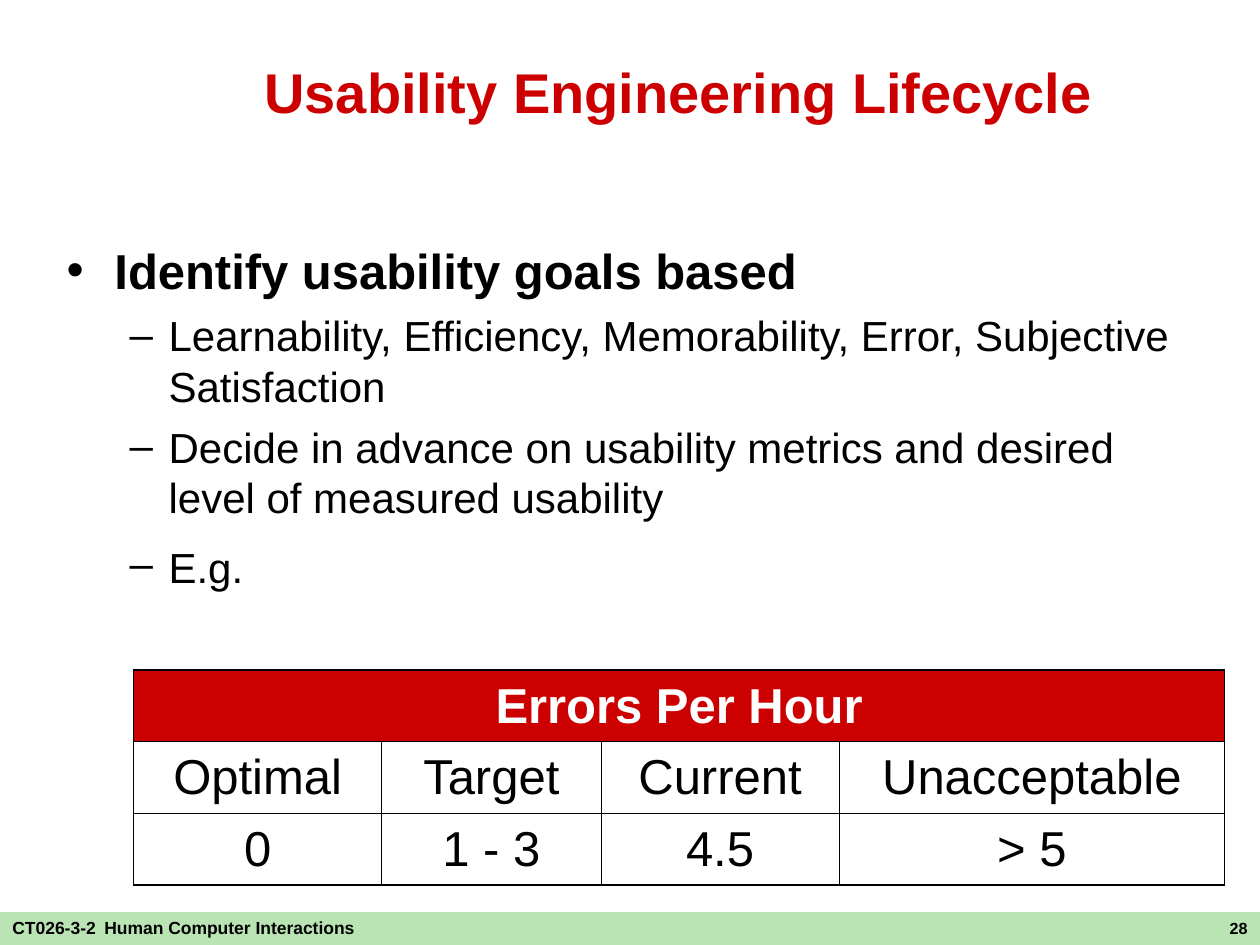
from dataclasses import dataclass
from lxml.etree import SubElement
from pptx import Presentation
from pptx.dml.color import RGBColor
from pptx.enum.shapes import MSO_SHAPE
from pptx.enum.text import MSO_ANCHOR, MSO_AUTO_SIZE, PP_ALIGN
from pptx.oxml.ns import qn
from pptx.util import Inches, Pt


@dataclass(frozen=True)
class Theme:
    font: str = "Arial"
    red: str = "CC0000"
    green: str = "BAE4B4"
    black: str = "000000"
    white: str = "FFFFFF"
    title: float = 32
    heading: float = 28
    detail: float = 24
    footer_gap: float = 18
    footer: float = 10
    number: float = 9.2
    outer_line: float = 1.08
    inner_line: float = 0.45


@dataclass(frozen=True)
class Box:
    """A region in grid columns and rows."""
    left: float
    top: float
    width: float
    height: float

    def place(self):
        return [unit(n) for n in (self.left, self.top, self.width, self.height)]


THEME = Theme()
COLUMNS, ROWS = 100, 75  # grid of the whole slide, tenth-inch cells

GOALS = [
    "Learnability, Efficiency, Memorability, Error, Subjective Satisfaction",
    "Decide in advance on usability metrics and desired level of measured usability",
    "E.g.",
]
ERROR_ROWS = [
    ["Errors Per Hour", "", "", ""],
    ["Optimal", "Target", "Current", "Unacceptable"],
    ["0", "1 - 3", "4.5", "> 5"],
]
ERROR_COLUMNS = [19.7, 17.4, 18.9, 30.6]


def unit(count):
    return Inches(count / 10)


def add_run(paragraph, text, size, bold=False, color=THEME.black):
    run = paragraph.add_run()
    run.text = text
    run.font.name = THEME.font
    run.font.size = Pt(size)
    run.font.bold = bold
    run.font.color.rgb = RGBColor.from_string(color)


def add_text_frame(slide, box, wrap=True):
    text_frame = slide.shapes.add_textbox(*box.place()).text_frame
    text_frame.word_wrap = wrap
    return text_frame


def set_bullet(paragraph, symbol, margin, indent):
    properties = paragraph._p.get_or_add_pPr()
    properties.set("marL", str(unit(margin)))
    properties.set("indent", str(-unit(indent)))
    color = SubElement(properties, qn("a:buClr"))
    SubElement(color, qn("a:srgbClr"), val=THEME.black)
    SubElement(properties, qn("a:buFont"), typeface=THEME.font)
    SubElement(properties, qn("a:buChar"), char=symbol)


def set_borders(cell, widths):
    properties = cell._tc.get_or_add_tcPr()
    for side, width in zip("LRTB", widths):
        line = SubElement(properties, qn(f"a:ln{side}"), w=str(Pt(width)))
        fill = SubElement(line, qn("a:solidFill"))
        SubElement(fill, qn("a:srgbClr"), val=THEME.black)


def add_footer(slide, box):
    # Green band
    band = slide.shapes.add_shape(MSO_SHAPE.RECTANGLE, *box.place())
    band.shadow.inherit = False
    band.fill.solid()
    band.fill.fore_color.rgb = RGBColor.from_string(THEME.green)
    band.line.fill.background()

    # Course name
    course_box = Box(box.left, box.top - 1.2, 37.1, 2.8)
    course = add_text_frame(slide, course_box).paragraphs[0]
    add_run(course, "CT026-3-2", THEME.footer, bold=True)
    add_run(course, " ", THEME.footer_gap)
    add_run(course, "Human Computer Interactions", THEME.footer, bold=True)

    # Slide number
    number_width = 31.7
    number_box = Box(box.left + box.width - number_width, box.top, number_width, box.height)
    number = add_text_frame(slide, number_box).paragraphs[0]
    number.alignment = PP_ALIGN.RIGHT
    add_run(number, "28", THEME.number, bold=True)


def add_title(slide, box):
    text_frame = add_text_frame(slide, box, wrap=False)
    text_frame.auto_size = MSO_AUTO_SIZE.SHAPE_TO_FIT_TEXT
    add_run(text_frame.paragraphs[0], "Usability Engineering Lifecycle",
            THEME.title, bold=True, color=THEME.red)


def add_goals(slide, box):
    text_frame = add_text_frame(slide, box)
    heading = text_frame.paragraphs[0]
    set_bullet(heading, "•", 3.8, 3.8)
    add_run(heading, "Identify usability goals based", THEME.heading, bold=True)
    for goal in GOALS:
        paragraph = text_frame.add_paragraph()
        paragraph.level = 1
        paragraph.space_before = Pt(6)
        set_bullet(paragraph, "–", 8.1, 3.1)
        add_run(paragraph, goal, THEME.detail)
    # The last line is as tall as the heading
    paragraph.space_before = Pt(7)
    add_run(paragraph, " ", THEME.heading)


def add_error_table(slide, box):
    row_count, column_count = len(ERROR_ROWS), len(ERROR_COLUMNS)
    table = slide.shapes.add_table(row_count, column_count, *box.place()).table
    table.first_row = table.horz_banding = False
    for column, width in zip(table.columns, ERROR_COLUMNS):
        column.width = unit(width)
    for row in table.rows:
        row.height = unit(box.height / row_count)
    table.cell(0, 0).merge(table.cell(0, column_count - 1))

    for r, texts in enumerate(ERROR_ROWS):
        header = r == 0
        for c, text in enumerate(texts):
            cell = table.cell(r, c)
            # Heavier lines on the outside edges
            edges = (c == 0, c == column_count - 1, header, r == row_count - 1)
            set_borders(cell, [THEME.outer_line if edge else THEME.inner_line for edge in edges])
            if header:
                cell.fill.solid()
                cell.fill.fore_color.rgb = RGBColor.from_string(THEME.red)
            else:
                cell.fill.background()
            cell.vertical_anchor = MSO_ANCHOR.MIDDLE
            if text:
                paragraph = cell.text_frame.paragraphs[0]
                paragraph.alignment = PP_ALIGN.CENTER
                add_run(paragraph, text, THEME.heading, bold=header,
                        color=THEME.white if header else THEME.black)


def main():
    presentation = Presentation()
    presentation.slide_width, presentation.slide_height = unit(COLUMNS), unit(ROWS)
    slide = presentation.slides.add_slide(presentation.slide_layouts[6])
    add_footer(slide, Box(0, ROWS - 2.6, COLUMNS, 2.6))
    add_goals(slide, Box(4.3, 18.6, 92.1, 41))
    add_title(slide, Box(20, 4.1, 67.8, 6.4))
    add_error_table(slide, Box(10.6, 53.2, sum(ERROR_COLUMNS), 17))
    presentation.save("out.pptx")


if __name__ == "__main__":
    main()
